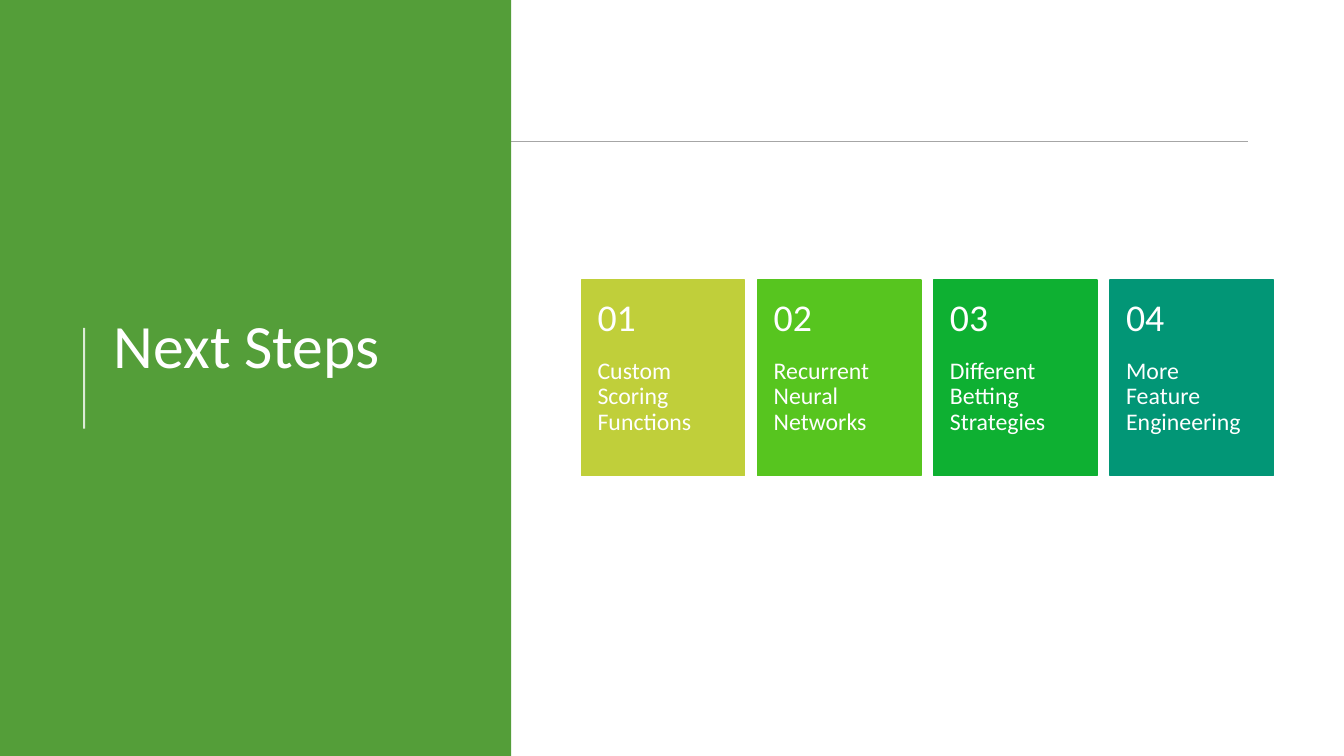
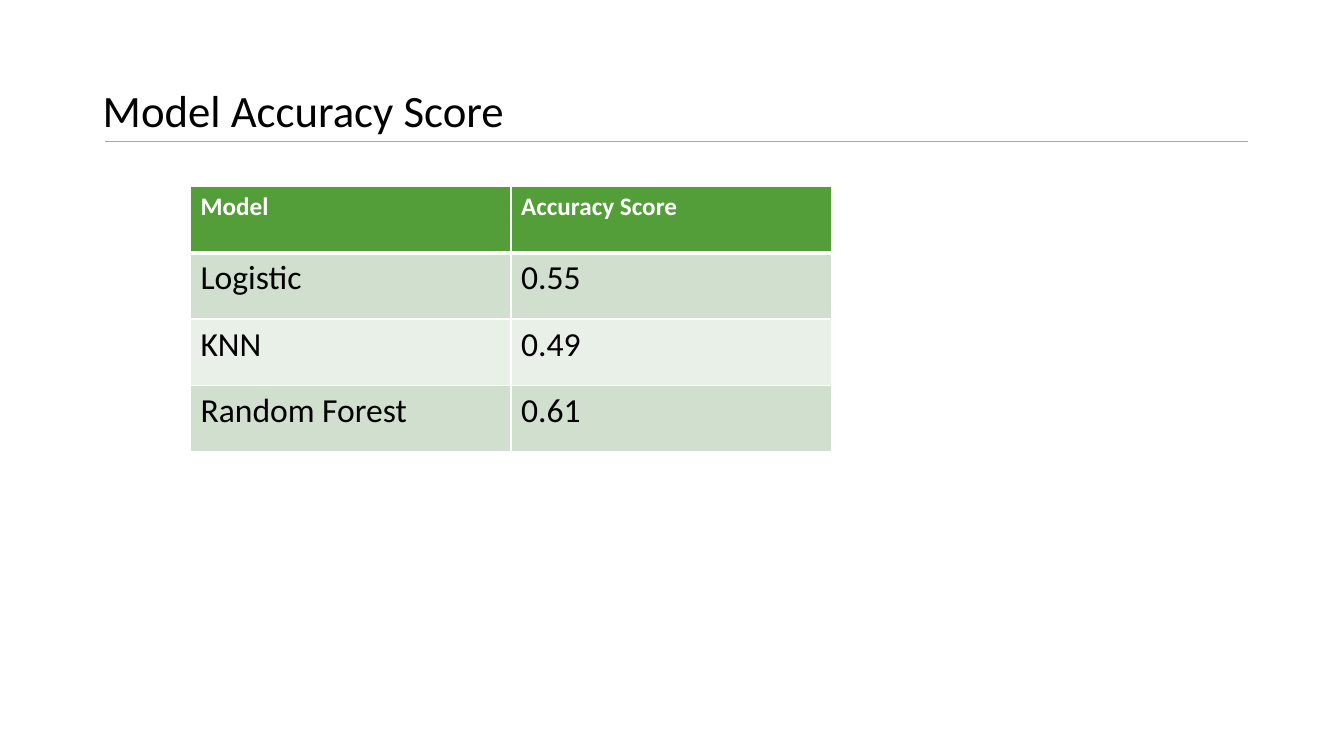
import lxml.etree
import pptx
import pptx.dml.color
import pptx.enum.shapes
import pptx.enum.text
import pptx.oxml
import pptx.oxml.ns
import pptx.util

Cm = pptx.util.Cm
Pt = pptx.util.Pt
qn = pptx.oxml.ns.qn
ANCHOR = pptx.enum.text.MSO_ANCHOR

GREEN, WHITE, BLACK, RULE_GREY = "549E39", "FFFFFF", "000000", "A6A6A6"
BAND_DARK, BAND_LIGHT = "D1DFCE", "E9F0E8"
STANDARD_INSETS = (0.25, 0.13, 0.25, 0.13)


def rgb(hex_colour):
    return pptx.dml.color.RGBColor.from_string(hex_colour)


class Deck:
    """Holds the shared style and the slide being built."""

    font_name = "Calibri"

    def __init__(self):
        self.presentation = pptx.Presentation()
        self.presentation.slide_width = Cm(33.87)
        self.presentation.slide_height = Cm(19.05)
        self.slide = None

    def new_slide(self):
        """Add a blank slide with the rule that all slides share."""
        layout = self.presentation.slide_layouts[6]
        self.slide = self.presentation.slides.add_slide(layout)
        self.line((2.64, 3.56), (31.44, 3.56), RULE_GREY, 1)

    def line(self, start, end, colour, width, opacity=100):
        connector = self.slide.shapes.add_connector(
            pptx.enum.shapes.MSO_CONNECTOR.STRAIGHT,
            *(Cm(value) for value in (*start, *end)))
        connector.line.color.rgb = rgb(colour)
        connector.line.width = Pt(width)
        properties = connector._element.spPr
        if opacity < 100:
            tint = properties.find(".//" + qn("a:srgbClr"))
            lxml.etree.SubElement(tint, qn("a:alpha"), val=str(opacity * 1000))
        lxml.etree.SubElement(properties, qn("a:effectLst"))

    def block(self, left, top, width, height, colour, outlined=False):
        block = self.slide.shapes.add_shape(
            pptx.enum.shapes.MSO_SHAPE.RECTANGLE,
            Cm(left), Cm(top), Cm(width), Cm(height))
        block.shadow.inherit = False
        block.fill.solid()
        block.fill.fore_color.rgb = rgb(colour)
        if outlined:
            block.line.color.rgb = rgb(colour)
            block.line.width = Pt(1)
        else:
            block.line.fill.background()

    def style(self, paragraph, size, colour, bold=False):
        font = paragraph.runs[0].font
        font.name = self.font_name
        font.size = Pt(size)
        font.bold = bold
        font.color.rgb = rgb(colour)

    def text(self, words, left, top, width, height, size, colour,
             anchor=ANCHOR.MIDDLE, insets=STANDARD_INSETS):
        box = self.slide.shapes.add_textbox(
            Cm(left), Cm(top), Cm(width), Cm(height))
        frame = box.text_frame
        frame.word_wrap = True
        frame.vertical_anchor = anchor
        (frame.margin_left, frame.margin_top,
         frame.margin_right, frame.margin_bottom) = map(Cm, insets)
        frame.text = words
        frame.paragraphs[0].line_spacing = 0.9
        self.style(frame.paragraphs[0], size, colour)

    def card(self, number, step, left, top, colour):
        width, height, number_height = 4.12, 4.93, 1.98
        self.block(left, top, width, height, colour, outlined=True)
        self.text(step, left, top + number_height, width,
                  height - number_height, 17, WHITE,
                  ANCHOR.TOP, (0.41, 0, 0.41, 0.91))
        self.text(f"{number:02d}", left, top, width, number_height, 27, WHITE,
                  insets=(0.41, 0.46, 0.41, 0.46))

    def cell_borders(self, cell, widths):
        """Draw white borders; widths maps each side to points."""
        properties = cell._tc.get_or_add_tcPr()
        for side, width in widths.items():
            border = lxml.etree.SubElement(
                properties, qn(f"a:ln{side}"), w=str(Pt(width)))
            fill = lxml.etree.SubElement(border, qn("a:solidFill"))
            lxml.etree.SubElement(fill, qn("a:srgbClr"), val=WHITE)

    def table(self, rows, left, top, column_width, row_height):
        columns = len(rows[0])
        table = self.slide.shapes.add_table(
            len(rows), columns, Cm(left), Cm(top),
            Cm(column_width * columns), Cm(row_height * len(rows))).table
        for row_index, row in enumerate(rows):
            header = row_index == 0
            band = BAND_DARK if row_index % 2 else BAND_LIGHT
            for column_index, words in enumerate(row):
                cell = table.cell(row_index, column_index)
                self.cell_borders(cell, {
                    "L": 1, "R": 1,
                    "T": 3 if row_index == 1 else 1,
                    "B": 3 if header else 1})
                cell.fill.solid()
                cell.fill.fore_color.rgb = rgb(GREEN if header else band)
                cell.text = words
                self.style(cell.text_frame.paragraphs[0],
                           18 if header else 24,
                           WHITE if header else BLACK, bold=header)


def next_steps(deck):
    deck.new_slide()
    deck.block(0, 0, 12.88, 19.05, GREEN)
    deck.line((2.12, 10.8), (2.12, 8.26), WHITE, 1.5, opacity=80)
    steps = [("Custom Scoring Functions", "C0CF3A"),
             ("Recurrent Neural Networks", "57C51F"),
             ("Different Betting Strategies", "0EB032"),
             ("More Feature Engineering", "029676")]
    for index, (step, colour) in enumerate(steps):
        deck.card(index + 1, step, 14.65 + 4.44 * index, 7.06, colour)
    deck.text("Next Steps", 2.62, 1.98, 9.37, 13.59, 44, WHITE)


def model_accuracy(deck):
    deck.new_slide()
    deck.text("Model Accuracy Score", 2.34, 1.02, 29.21, 3.68, 32, BLACK)
    deck.table([("Model", "Accuracy Score"),
                ("Logistic", "0.55"),
                ("KNN", "0.49"),
                ("Random Forest", "0.61")], 4.8, 4.7, 8.08, 1.67)


def main():
    deck = Deck()
    next_steps(deck)
    model_accuracy(deck)
    deck.presentation.save("out.pptx")


if __name__ == "__main__":
    main()
